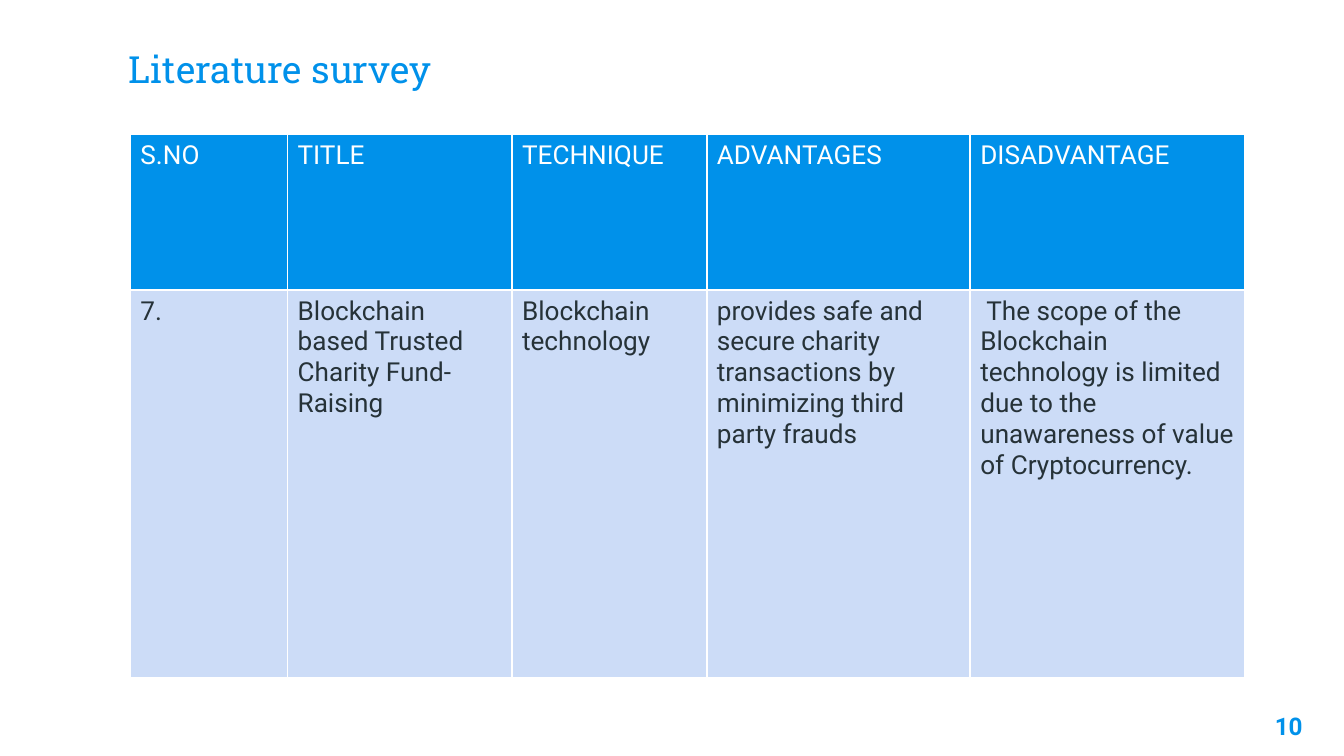
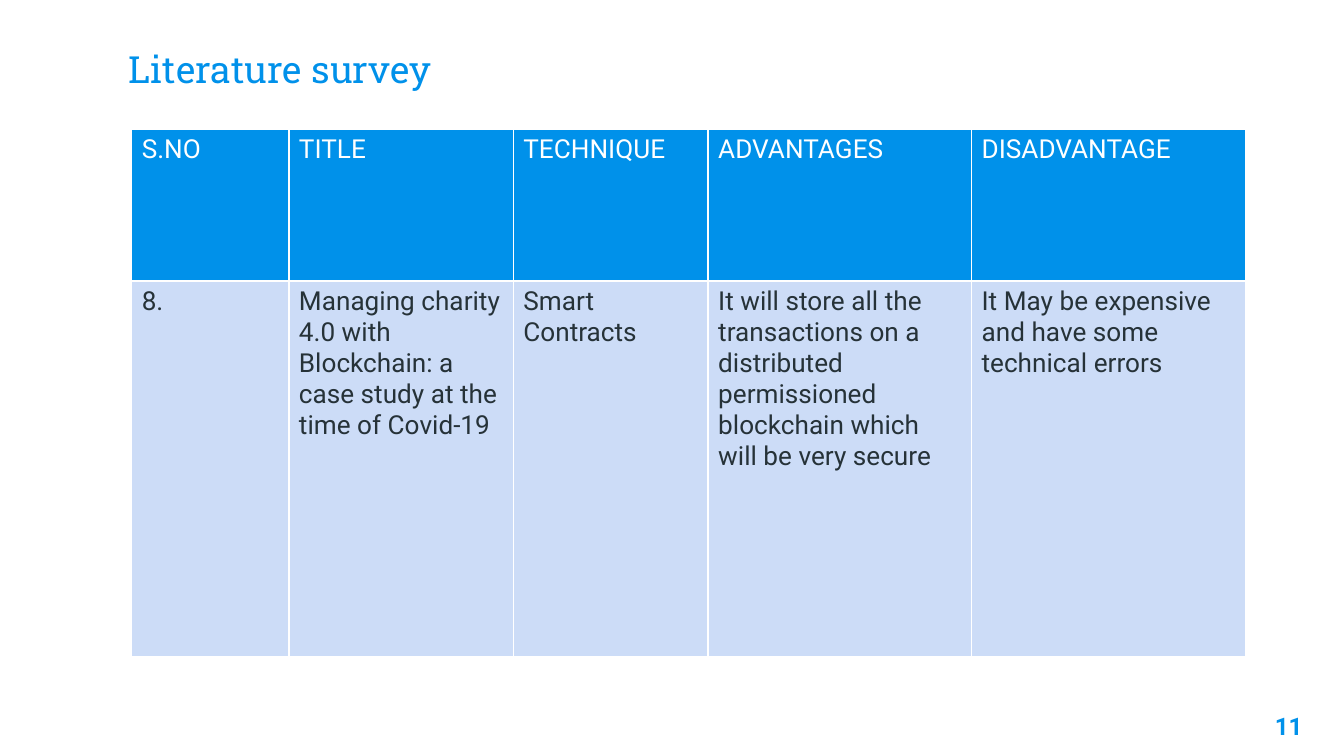
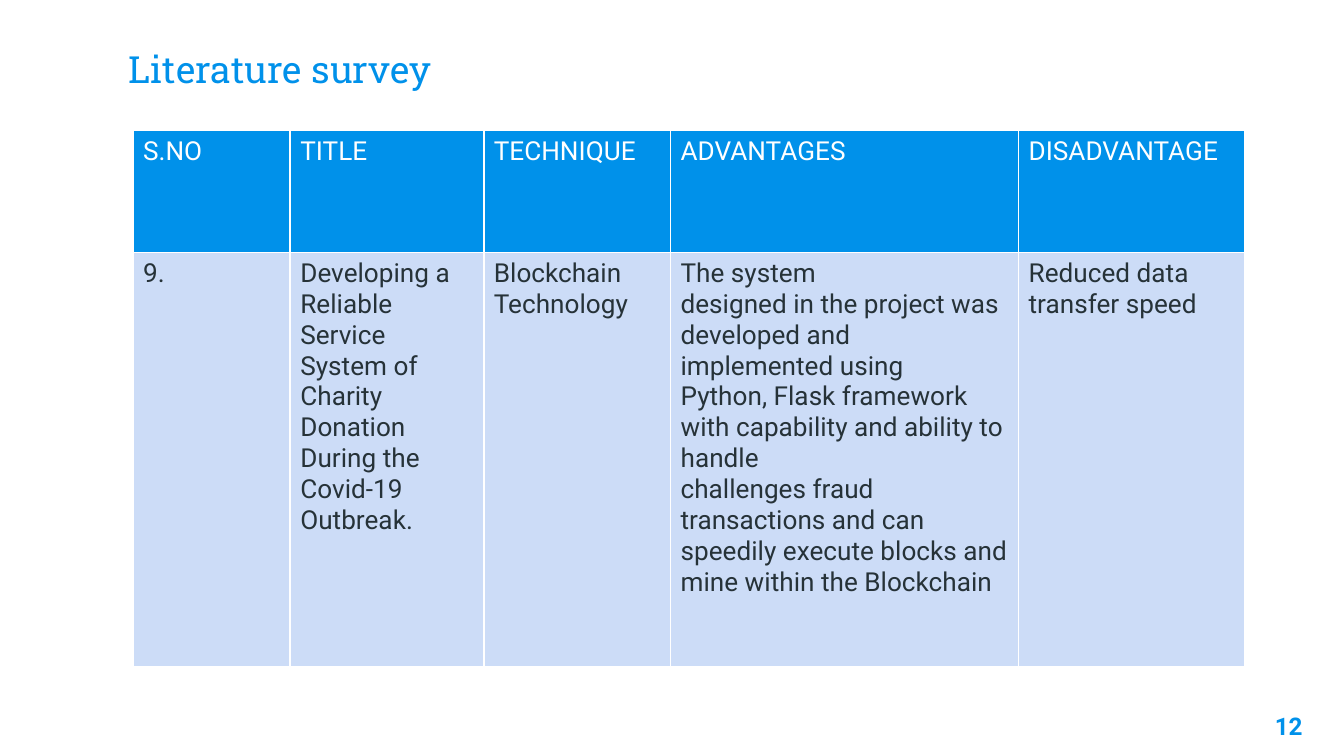
import pptx
import pptx.dml.color
import pptx.enum.text
import pptx.oxml
import pptx.oxml.ns
import pptx.util
from dataclasses import dataclass

Inches = pptx.util.Inches
Pt = pptx.util.Pt


@dataclass(frozen=True)
class Theme:
    accent: str = "0091EA"
    ink: str = "263238"
    paper: str = "FFFFFF"
    pale: str = "CCDCF7"
    body_font: str = "Roboto"
    title_font: str = "Roboto Slab"
    title_size: int = 20
    table_size: int = 14
    number_size: int = 13


THEME = Theme()
HEADINGS = ["S.NO", "TITLE", "TECHNIQUE", "ADVANTAGES", "DISADVANTAGE"]
WIDE_TITLE_COLUMNS = [1.17, 1.67, 1.45, 1.96, 2.04]
WIDE_ADVANTAGES_COLUMNS = [1.17, 1.44, 1.39, 2.59, 1.68]
FIRST_PAGE = 10

# Each survey page: left, top, column widths, row heights, entry
SURVEY = [
    (0.97, 1.0, WIDE_TITLE_COLUMNS, [1.16, 2.88], [
        "7.",
        "Blockchain based Trusted Charity Fund-Raising",
        "Blockchain technology",
        "provides safe and secure charity transactions by minimizing third party frauds",
        " The scope of the Blockchain technology is limited due to the\n"
        "unawareness of value of Cryptocurrency.",
    ]),
    (0.98, 0.96, WIDE_TITLE_COLUMNS, [1.13, 2.8], [
        "8.",
        "Managing charity 4.0 with Blockchain: a case study at the time of Covid-19",
        "Smart Contracts",
        "It will store all the transactions on a distributed permissioned blockchain "
        "which will be very secure",
        "It May be expensive and have some technical errors",
    ]),
    (0.99, 0.97, WIDE_ADVANTAGES_COLUMNS, [0.91, 3.08], [
        "9.",
        "Developing a Reliable Service System of Charity Donation During the Covid-19 Outbreak.",
        "Blockchain Technology",
        "The system\n"
        "designed in the project was developed and implemented using\n"
        "Python, Flask framework with capability and ability to handle\n"
        "challenges fraud transactions and can speedily execute blocks "
        "and mine within the Blockchain",
        "Reduced data transfer speed",
    ]),
]


def write(frame, text, font, size, color, bold=False, align=None):
    frame.text = text
    frame.word_wrap = True
    for paragraph in frame.paragraphs:
        paragraph.alignment = align
        for run in paragraph.runs:
            run.font.name = font
            run.font.size = Pt(size)
            run.font.bold = bold
            run.font.color.rgb = pptx.dml.color.RGBColor.from_string(color)


def style_cell(cell, fill):
    """Set margins, white borders and fill; borders must precede the fill in the XML."""
    cell.margin_left = cell.margin_right = Inches(0.15) // 2
    cell.margin_top = cell.margin_bottom = Inches(0.04)
    properties = cell._tc.get_or_add_tcPr()
    for side in "LRTB":
        properties.append(pptx.oxml.parse_xml(
            f'<a:ln{side} {pptx.oxml.ns.nsdecls("a")} w="{Pt(1)}"><a:solidFill>'
            f'<a:srgbClr val="{THEME.paper}"/></a:solidFill></a:ln{side}>'))
    cell.fill.solid()
    cell.fill.fore_color.rgb = pptx.dml.color.RGBColor.from_string(fill)


deck = pptx.Presentation()
deck.slide_width = Inches(10)
deck.slide_height = deck.slide_width * 9 // 16
blank = deck.slide_layouts[6]

for page, (left, top, widths, heights, entry) in enumerate(SURVEY, FIRST_PAGE):
    slide = deck.slides.add_slide(blank)

    survey = slide.shapes.add_table(
        2, len(HEADINGS), Inches(left), Inches(top),
        Inches(sum(widths)), Inches(sum(heights))).table
    survey.horz_banding = False
    for column, width in zip(survey.columns, widths):
        column.width = Inches(width)
    for row, height in zip(survey.rows, heights):
        row.height = Inches(height)

    row_styles = [(HEADINGS, THEME.accent, THEME.paper),
                  (entry, THEME.pale, THEME.ink)]
    for row, (texts, fill, color) in zip(survey.rows, row_styles):
        for cell, text in zip(row.cells, texts):
            style_cell(cell, fill)
            write(cell.text_frame, text, THEME.body_font, THEME.table_size, color)

    title = slide.shapes.add_textbox(
        Inches(0.86), Inches(0.27), Inches(8.28), Inches(0.51)).text_frame
    title.vertical_anchor = pptx.enum.text.MSO_ANCHOR.BOTTOM
    write(title, "Literature survey", THEME.title_font, THEME.title_size, THEME.accent)

    page_number = slide.shapes.add_textbox(
        Inches(9.19), Inches(5.19), Inches(0.6), Inches(0.43)).text_frame
    write(page_number, str(page), THEME.body_font, THEME.number_size, THEME.accent,
          bold=True, align=pptx.enum.text.PP_ALIGN.RIGHT)

    for frame in (title, page_number):
        frame.margin_left = frame.margin_right = Inches(0.1)
        frame.margin_top = frame.margin_bottom = Inches(0.1)

deck.save("out.pptx")
